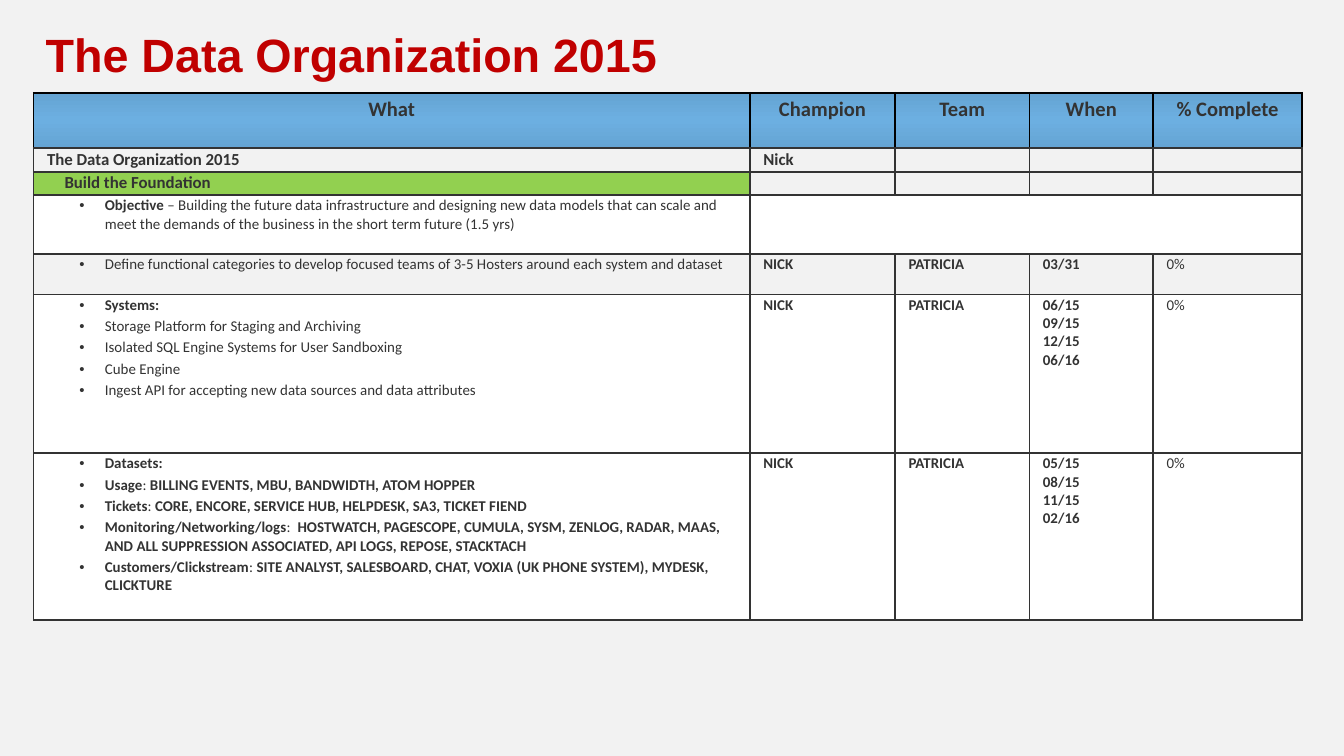
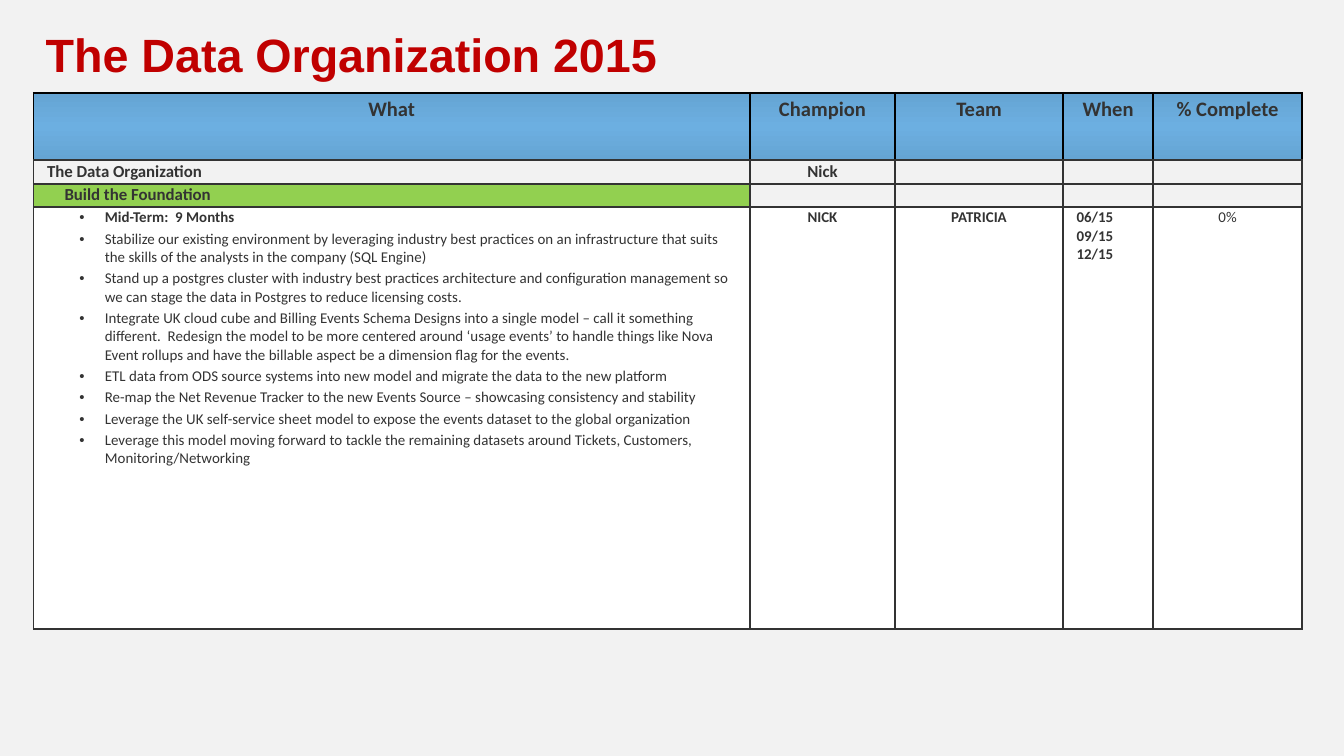
from dataclasses import dataclass, field
from lxml import etree
from pptx import Presentation
from pptx.dml.color import RGBColor
from pptx.enum.text import MSO_ANCHOR, MSO_AUTO_SIZE, PP_ALIGN
from pptx.oxml import parse_xml
from pptx.oxml.ns import nsdecls, qn
from pptx.util import Pt

LEFT, MID = PP_ALIGN.LEFT, PP_ALIGN.CENTER
MIDDLE = MSO_ANCHOR.MIDDLE
FIXED = MSO_AUTO_SIZE.NONE
PLAIN, BOLD, CAPS = "plain", "bold", "caps"
SCALE = 9144


@dataclass(frozen=True)
class Theme:
    page: str = "F2F2F2"
    red: str = "C00000"
    ink: str = "333333"
    black: str = "000000"
    white: str = "FFFFFF"
    green: str = "92D050"
    edge: str = "65A4D3"
    glow: str = "6CAFE1"
    head: str = "Arial"
    body: str = "Calibri"
    title: int = 25
    label: int = 11
    group: int = 9
    text: int = 8
    gap: float = 1.6


THEME = Theme()


@dataclass
class Cell:
    lines: list = field(default_factory=list)
    size: int = THEME.text
    align: int = LEFT
    look: str = ""


@dataclass
class Row:
    height: int
    cells: list
    paint: str = ""
    first: str = ""


def px(n):
    return int(n * SCALE)


def rgb(code):
    return RGBColor.from_string(code)


def add_run(para, text, size, face, tint, mode):
    run = para.add_run()
    run.text = text
    font = run.font
    font.size, font.name, font.bold = Pt(size), face, mode != PLAIN
    font.color.rgb = rgb(tint)
    if mode == CAPS:
        run._r.get_or_add_rPr().set("cap", "all")


def indent(para, left, hang):
    para.level = 1
    props = para._p.get_or_add_pPr()
    props.set("marL", str(px(left)))
    props.set("indent", str(px(hang)))
    return props


def add_title(slide, text, box):
    shape = slide.shapes.title
    shape.left, shape.top, shape.width, shape.height = map(px, box)
    frame = shape.text_frame
    frame.word_wrap, frame.auto_size = True, FIXED
    frame.vertical_anchor = MIDDLE
    frame.margin_left = frame.margin_right = px(9)
    frame.margin_top = frame.margin_bottom = px(4)
    para = frame.paragraphs[0]
    para.alignment = LEFT
    add_run(para, text, THEME.title, THEME.head, THEME.red, BOLD)


def set_edges(cell, is_head):
    props = cell._tc.get_or_add_tcPr()
    for side in "LRTB":
        tint = THEME.black if is_head and side != "B" else THEME.ink
        props.append(parse_xml(
            f'<a:ln{side} {nsdecls("a")} w="{Pt(1)}"><a:solidFill>'
            f'<a:srgbClr val="{tint}"/></a:solidFill></a:ln{side}>'))


def set_fill(cell, paint, is_head):
    if is_head:
        tints = ((0, THEME.edge), (50, THEME.glow), (100, THEME.edge))
        stops = "".join(
            f'<a:gs pos="{at * 1000}"><a:srgbClr val="{tint}"/></a:gs>'
            for at, tint in tints)
        cell._tc.get_or_add_tcPr().append(parse_xml(
            f'<a:gradFill {nsdecls("a")}><a:gsLst>{stops}</a:gsLst>'
            '<a:lin ang="5400000" scaled="0"/></a:gradFill>'))
    elif paint:
        cell.fill.solid()
        cell.fill.fore_color.rgb = rgb(paint)
    else:
        cell.fill.background()


def set_text(cell, data):
    frame = cell.text_frame
    if not data.lines:
        etree.SubElement(frame.paragraphs[0]._p, qn("a:endParaRPr"),
                         sz=str(data.size * 100))
    for i, runs in enumerate(data.lines):
        para = frame.add_paragraph() if i else frame.paragraphs[0]
        if data.look == "list":
            props = indent(para, 43, -19)
            etree.SubElement(props, qn("a:buFont"), typeface=THEME.head)
            etree.SubElement(props, qn("a:buChar"), char="•")
            if i:
                para.space_before = Pt(THEME.gap)
        elif data.look == "sub":
            indent(para, 13, 0)
            para.line_spacing = 0.9
        para.alignment = data.align
        for text, mode in runs:
            add_run(para, text, data.size, THEME.body, THEME.ink, mode)


def add_grid(slide, rows, widths, spot):
    left, top = spot
    box = (left, top, sum(widths), sum(row.height for row in rows))
    table = slide.shapes.add_table(
        len(rows), len(widths), *map(px, box)).table
    table.first_row = table.horz_banding = False
    for col, width in zip(table.columns, widths):
        col.width = px(width)
    for r, row in enumerate(rows):
        table.rows[r].height = px(row.height)
        is_head = r == 0
        for c in range(len(widths)):
            cell = table.cell(r, c)
            data = row.cells[c] if c < len(row.cells) else Cell()
            cell.margin_left = cell.margin_right = px(10)
            cell.margin_top = cell.margin_bottom = px(3 if is_head else 1)
            set_edges(cell, is_head)
            paint = row.first if c == 0 and row.first else row.paint
            set_fill(cell, paint, is_head)
            set_text(cell, data)
        if len(row.cells) < len(widths):
            table.cell(r, len(row.cells) - 1).merge(
                table.cell(r, len(widths) - 1))


def bold(*lines, **style):
    return Cell([[(line, BOLD)] for line in lines], **style)


def listing(*lines):
    return Cell([[(line, PLAIN)] if isinstance(line, str) else line
                 for line in lines], look="list")


def named(label, mark, names):
    return [(label, BOLD), (mark, PLAIN), (names, CAPS)]


def top_rows(height, name, align):
    labels = ("What", "Champion", "Team", "When", "% Complete")
    size = THEME.group
    blank = Cell(size=size)
    return [
        Row(height, [bold(label, size=THEME.label, align=MID)
                     for label in labels]),
        Row(18, [bold(name, size=size),
                 bold("Nick", size=size, align=align)] + [blank] * 3),
        Row(17, [bold("Build the Foundation", size=size, look="sub")]
            + [blank] * 4, first=THEME.green),
    ]


def task(height, what, dates, align=LEFT, paint=THEME.white):
    who = [Cell([[(name, CAPS)]], align=align)
           for name in ("Nick", "Patricia")]
    done = Cell([[("0%", PLAIN)]], align=align)
    return Row(height, [what, *who, bold(*dates), done], paint)


def add_plan(deck, rows, widths):
    slide = deck.slides.add_slide(deck.slide_layouts[5])
    add_title(slide, "The Data Organization 2015", (25, 12, 900, 56))
    add_grid(slide, rows, widths, (25, 69))


def goals():
    aim = listing([
        ("Objective ", BOLD),
        ("– Building the future data infrastructure and designing new data "
         "models that can scale and meet the demands of the business in the "
         "short term future (1.5 yrs)", PLAIN)])
    teams = listing(
        "Define functional categories to develop focused teams of 3-5 "
        "Hosters around each system and dataset")
    systems = listing(
        [("Systems:", BOLD)],
        "Storage Platform for Staging and Archiving",
        "Isolated SQL Engine Systems for User Sandboxing",
        "Cube Engine",
        "Ingest API for accepting new data sources and data attributes")
    sets = listing(
        [("Datasets:", BOLD)],
        named("Usage", ": ", "Billing Events, MBU, Bandwidth, Atom Hopper"),
        named("Tickets", ": ",
              "Core, Encore, Service Hub, Helpdesk, SA3, Ticket Fiend"),
        named("Monitoring/Networking/logs", ":  ",
              "Hostwatch, Pagescope, Cumula, Sysm, Zenlog, RADAR, MaaS, and "
              "all suppression associated, API Logs, Repose, Stacktach"),
        named("Customers/Clickstream", ": ",
              "Site Analyst, Salesboard, Chat, Voxia (UK phone system), "
              "MyDesk, Clickture"))
    return top_rows(41, "The Data Organization 2015", LEFT) + [
        Row(44, [aim, Cell()], THEME.white),
        task(30, teams, ["03/31"], paint=""),
        task(118, systems, ["06/15", "09/15", "12/15", "06/16"]),
        task(124, sets, ["05/15", "08/15", "11/15", "02/16"]),
    ]


def midterm():
    steps = listing(
        [("Mid-Term:  9 Months", BOLD)],
        "Stabilize our existing environment by leveraging industry best "
        "practices on an infrastructure that suits the skills of the "
        "analysts in the company (SQL Engine)",
        "Stand up a postgres cluster with industry best practices "
        "architecture and configuration management so we can stage the data "
        "in Postgres to reduce licensing costs.",
        "Integrate UK cloud cube and Billing Events Schema Designs into a "
        "single model – call it something different.  Redesign the model to "
        "be more centered around ‘usage events’ to handle things like Nova "
        "Event rollups and have the billable aspect be a dimension flag for "
        "the events.",
        "ETL data from ODS source systems into new model and migrate the "
        "data to the new platform",
        "Re-map the Net Revenue Tracker to the new Events Source – "
        "showcasing consistency and stability",
        "Leverage the UK self-service sheet model to expose the events "
        "dataset to the global organization",
        "Leverage this model moving forward to tackle the remaining datasets "
        "around Tickets, Customers, Monitoring/Networking")
    return top_rows(50, "The Data Organization", MID) + [
        task(314, steps, ["06/15", "09/15", "12/15"], MID)]


def main():
    deck = Presentation()
    deck.slide_width = px(1000)
    deck.slide_height = deck.slide_width * 9 // 16
    fill = deck.slide_master.background.fill
    fill.solid()
    fill.fore_color.rgb = rgb(THEME.page)
    add_plan(deck, goals(), (533, 108, 100, 92, 111))
    add_plan(deck, midterm(), (533, 108, 125, 67, 111))
    deck.save("out.pptx")


if __name__ == "__main__":
    main()
